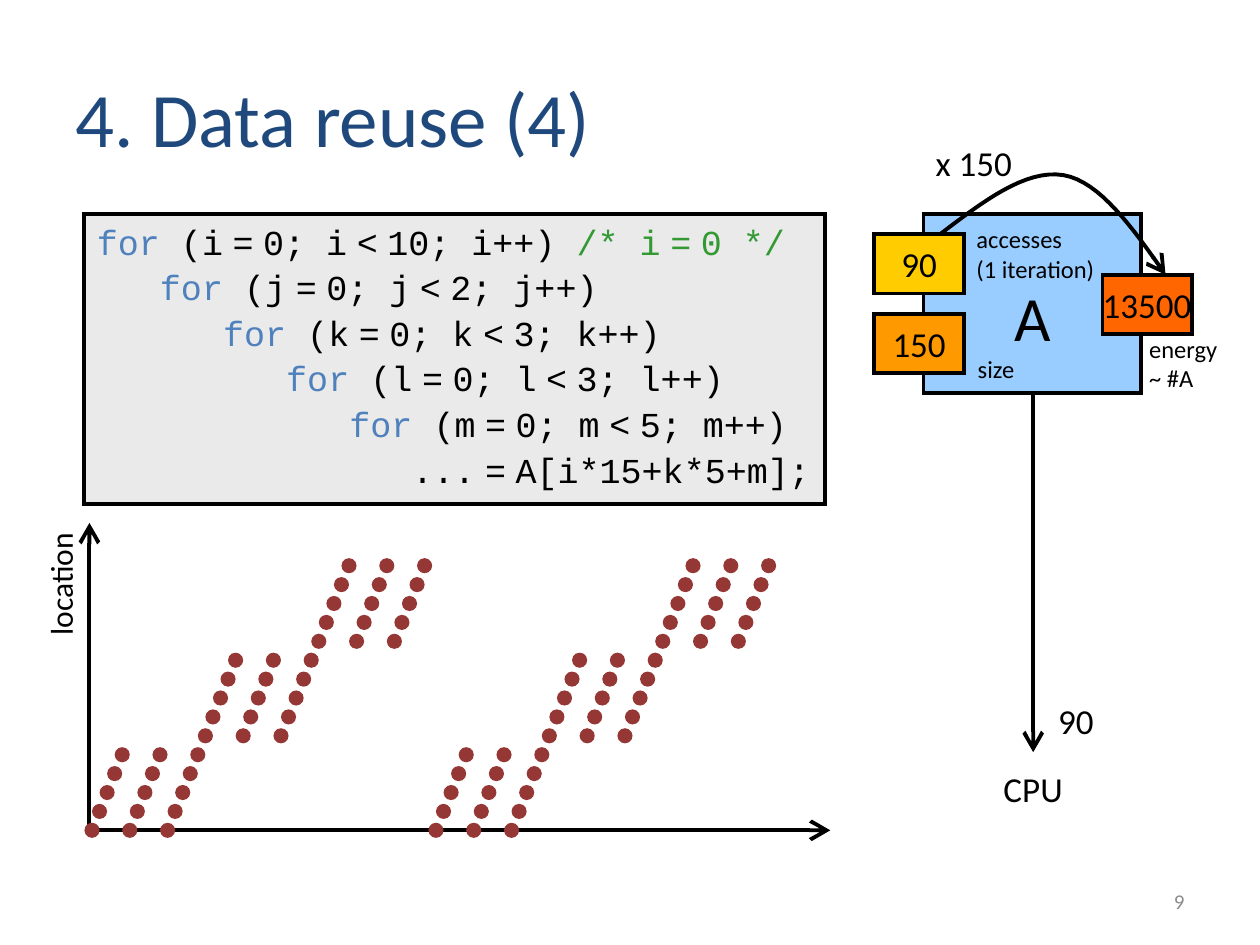
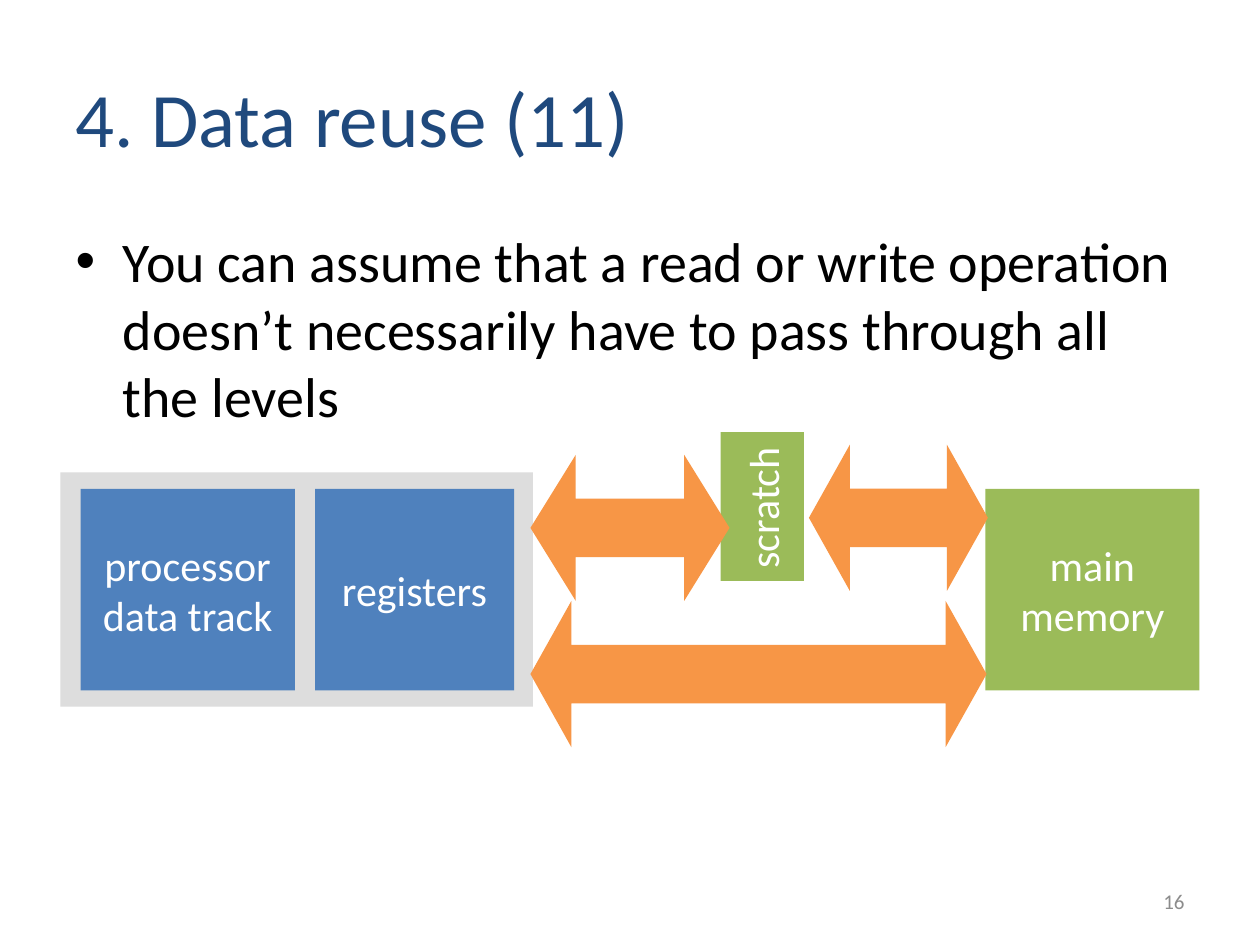
"""Builds two slides on data reuse in memory hierarchies."""
from dataclasses import dataclass
from itertools import groupby, product

from lxml import etree
from pptx import Presentation
from pptx.dml.color import RGBColor
from pptx.enum import shapes, text
from pptx.oxml.ns import qn
from pptx.util import Pt

COLUMNS, ROWS = 10, 7.5
CELL = 914400


@dataclass(frozen=True)
class Theme:
    """Colours, fonts and type sizes shared by the slides."""
    ink: str = "000000"
    white: str = "FFFFFF"
    title: str = "1F497D"
    footer: str = "8C8C8C"
    blue: str = "4F81BD"
    green: str = "9BBB59"
    orange: str = "F79646"
    chip: str = "DDDDDD"
    code_fill: str = "EAEAEA"
    comment: str = "339933"
    dot: str = "953735"
    array: str = "99CCFF"
    font: str = "Calibri"
    code_font: str = "Courier New"
    title_size: int = 44
    array_size: int = 36
    body_size: int = 32
    block_size: int = 24
    label_size: int = 20
    axis_size: int = 18
    note_size: int = 14
    footer_size: int = 12
    thin_size: int = 9
    code_gap: int = 2
    stroke: float = 2.25


THEME = Theme()
RECT, OVAL, DOUBLE_ARROW = (shapes.MSO_SHAPE.RECTANGLE, shapes.MSO_SHAPE.OVAL,
                            shapes.MSO_SHAPE.LEFT_RIGHT_ARROW)
LEFT, CENTER, RIGHT = text.PP_ALIGN.LEFT, text.PP_ALIGN.CENTER, text.PP_ALIGN.RIGHT
TOP, MIDDLE = text.MSO_ANCHOR.TOP, text.MSO_ANCHOR.MIDDLE

BULLETS = ["You can assume that a read or write operation doesn’t necessarily "
           "have to pass through all the levels"]

CODE = [
    [("for", THEME.blue), (" (i = 0; i < 10; i++) ", THEME.ink), ("/* i = 0 */", THEME.comment)],
    [("for", THEME.blue), (" (j = 0; j < 2; j++)", THEME.ink)],
    [("for", THEME.blue), (" (k = 0; k < 3; k++)", THEME.ink)],
    [("for", THEME.blue), (" (l = 0; l < 3; l++)", THEME.ink)],
    [("for", THEME.blue), (" (m = 0; m < 5; m++)", THEME.ink)],
    [("... = A[i*15+k*5+m];", THEME.ink)],
]
CODE_INDENT = "   "

ORIGIN = (0.71, 6.59)
AXIS_ENDS = [(6.59, 6.59), (0.71, 4.15)]
PASSES, K_LOOPS, L_LOOPS, M_LOOPS = 2, 3, 3, 5
FIRST_DOT, DOT = (0.67, 6.53), 0.12
TIME_STEP, LOCATION_STEP, PASS_WIDTH = 0.06, 0.15, 2.73

COUNTERS = [
    ("13500", (8.75, 2.18), "FF6600", ["energy", "~ #A"], (9.12, 2.65, 0.79, 0.47)),
    ("90", (6.94, 1.86), "FFCC00", ["accesses", "(1 iteration)"], (7.75, 1.78, 0.94, 0.47)),
    ("150", (6.94, 2.49), "FF9900", ["size"], (7.76, 2.81, 0.79, 0.24)),
]
COUNTER_SIZE = (0.71, 0.47)
CPU_LINE = [(8.2, 3.12), (8.2, 5.97)]
ENERGY_CURVE = [
    [(7.46, 1.86), (7.8, 1.6), (8.14, 1.34), (8.44, 1.39)],
    [(8.44, 1.39), (8.73, 1.44), (8.99, 1.81), (9.25, 2.18)],
]
CURVE_STEPS = 16

BLOCK_TOP, BLOCK_HEIGHT = 3.88, 1.6
BLOCKS = [
    (["processor", "data track"], 0.64, 1.7, THEME.blue),
    (["registers"], 2.5, 1.58, THEME.blue),
    (["main memory"], 7.82, 1.7, THEME.green),
]
TRANSFERS = [(6.42, 3.53, 1.42, 0.28), (4.21, 3.61, 1.58, 0.31), (4.21, 4.77, 3.62, 0.28)]
TRANSFER_HEIGHT, SHAFT = 1.16, 0.4


def emu(*cells):
    return [round(cell * CELL) for cell in cells]


def color(code):
    return RGBColor.from_string(code)


def style(font, size, ink, name=THEME.font):
    font.size, font.name = Pt(size), name
    font.color.rgb = color(ink)


def write(box, lines, size, ink=THEME.ink, align=LEFT, anchor=TOP, wrap=False,
          margins=(0.1, 0.05, 0.1, 0.05)):
    frame = box.text_frame
    sides = ("margin_left", "margin_top", "margin_right", "margin_bottom")
    settings = dict(zip(sides, emu(*margins)), word_wrap=wrap, vertical_anchor=anchor)
    for name, value in settings.items():
        setattr(frame, name, value)
    frame.text = "\n".join(lines)
    for para in frame.paragraphs:
        para.alignment, para.space_before = align, Pt(0)
        style(para.font, size, ink)


def label(page, at, lines, size, **options):
    write(page.shapes.add_textbox(*emu(*at)), lines, size, **options)


def draw(page, kind, at, fill, outlined=False):
    shape = page.shapes.add_shape(kind, *emu(*at))
    shape.fill.solid()
    shape.fill.fore_color.rgb = color(fill)
    if outlined:
        outline(shape)
    else:
        shape.line.fill.background()
    shape.shadow.inherit = False
    return shape


def outline(shape):
    shape.line.color.rgb = color(THEME.ink)
    shape.line.width = Pt(THEME.stroke)
    stroke = shape.element.spPr.find(qn("a:ln"))
    etree.SubElement(stroke, qn("a:miter"), lim="800000")
    return stroke


def add_arrowhead(shape):
    etree.SubElement(outline(shape), qn("a:tailEnd"), type="arrow", w="lg", len="lg")
    etree.SubElement(shape.element.spPr, qn("a:effectLst"))


def arrow(page, start, end):
    add_arrowhead(page.shapes.add_connector(
        shapes.MSO_CONNECTOR.STRAIGHT, *emu(*start), *emu(*end)))


def bezier(points, share):
    rest = 1 - share
    weights = (rest ** 3, 3 * rest ** 2 * share, 3 * rest * share ** 2, share ** 3)
    return emu(*(sum(w * value for w, value in zip(weights, axis)) for axis in zip(*points)))


def curved_arrow(page, curves):
    builder = page.shapes.build_freeform(*emu(*curves[0][0]))
    builder.add_line_segments(
        [bezier(curve, step / CURVE_STEPS)
         for curve, step in product(curves, range(1, CURVE_STEPS + 1))], close=False)
    curve = builder.convert_to_shape()
    curve.fill.background()
    add_arrowhead(curve)


def add_page(deck, layout, title, number):
    page = deck.slides.add_slide(deck.slide_layouts[layout])
    write(page.shapes.title, [title], THEME.title_size, THEME.title, anchor=MIDDLE, wrap=True)
    label(page, (7.17, 6.95, 2.33, 0.4), [str(number)], THEME.footer_size,
          ink=THEME.footer, align=RIGHT, anchor=MIDDLE, wrap=True)
    return page


def split_thin(code):
    """Separate the narrow spaces around operators from the other characters."""
    def is_thin(place):
        near = code[max(place - 1, 0):place + 2]
        return code[place] == " " and bool(set(near) & set("=<"))
    for thin, places in groupby(range(len(code)), is_thin):
        yield "".join(code[place] for place in places), thin


def add_code(page):
    box = draw(page, RECT, (0.67, 1.7, 5.88, 2.3), THEME.code_fill, outlined=True)
    write(box, [CODE_INDENT * level for level in range(len(CODE))], THEME.label_size)
    for level, (para, parts) in enumerate(zip(box.text_frame.paragraphs, CODE)):
        para.space_before = Pt(THEME.code_gap if level else 0)
        for span in para.runs:
            style(span.font, THEME.label_size, THEME.ink, THEME.code_font)
        for code, ink in parts:
            for piece, thin in split_thin(code):
                span = para.add_run()
                span.text = piece
                style(span.font, THEME.thin_size if thin else THEME.label_size,
                      ink, THEME.code_font)


def add_access_plot(page):
    axis_name = draw(page, RECT, (-0.03, 4.44, 1.02, 0.4), THEME.white)
    axis_name.rotation = 270
    write(axis_name, ["location"], THEME.axis_size, align=RIGHT)
    for end in AXIS_ENDS:
        arrow(page, ORIGIN, end)
    left, bottom = FIRST_DOT
    for i, k, l, m in product(*map(range, (PASSES, K_LOOPS, L_LOOPS, M_LOOPS))):
        time = (k * L_LOOPS + l) * M_LOOPS + m
        location = k * M_LOOPS + m
        draw(page, OVAL, (left + i * PASS_WIDTH + time * TIME_STEP,
                          bottom - location * LOCATION_STEP, DOT, DOT), THEME.dot)


def add_memory(page):
    array = draw(page, RECT, (7.33, 1.7, 1.73, 1.42), THEME.array, outlined=True)
    write(array, ["A"], THEME.array_size, align=CENTER, anchor=MIDDLE,
          margins=(0.1, 0.25, 0.1, 0.05))
    for count, corner, fill, note, note_at in COUNTERS:
        counter = draw(page, RECT, corner + COUNTER_SIZE, fill, outlined=True)
        write(counter, [count], THEME.label_size, align=CENTER, anchor=MIDDLE)
        label(page, note_at, note, THEME.note_size, margins=(0, 0, 0, 0))
    arrow(page, *CPU_LINE)
    label(page, (8.3, 5.5, 0.5, 0.43), ["90"], THEME.label_size)
    label(page, (7.57, 5.97, 1.26, 0.62), ["CPU"], THEME.label_size,
          align=CENTER, anchor=MIDDLE, margins=(0.1, 0, 0.1, 0.05))
    curved_arrow(page, ENERGY_CURVE)
    label(page, (7.32, 1.07, 0.81, 0.44), ["x 150"], THEME.label_size, align=RIGHT)


def add_hierarchy(page):
    draw(page, RECT, (0.48, 3.75, 3.75, 1.86), THEME.chip)
    for lines, left, width, fill in BLOCKS:
        block = draw(page, RECT, (left, BLOCK_TOP, width, BLOCK_HEIGHT), fill)
        write(block, lines, THEME.block_size, THEME.white, CENTER, MIDDLE, wrap=True)
    scratch = draw(page, RECT, (5.46, 3.69, 1.18, 0.66), THEME.green)
    scratch.rotation = 270
    write(scratch, ["scratch"], THEME.block_size, THEME.white, anchor=MIDDLE, wrap=True)
    for left, top, width, head in TRANSFERS:
        transfer = draw(page, DOUBLE_ARROW, (left, top, width, TRANSFER_HEIGHT), THEME.orange)
        for place, share in enumerate((SHAFT, head)):
            transfer.adjustments[place] = share


def main():
    deck = Presentation()
    deck.slide_width, deck.slide_height = emu(COLUMNS, ROWS)
    page = add_page(deck, 5, "4. Data reuse (4)", 9)
    add_code(page)
    add_access_plot(page)
    add_memory(page)
    page = add_page(deck, 1, "4. Data reuse (11)", 16)
    write(page.placeholders[1], BULLETS, THEME.body_size, wrap=True)
    add_hierarchy(page)
    deck.save("out.pptx")


if __name__ == "__main__":
    main()
